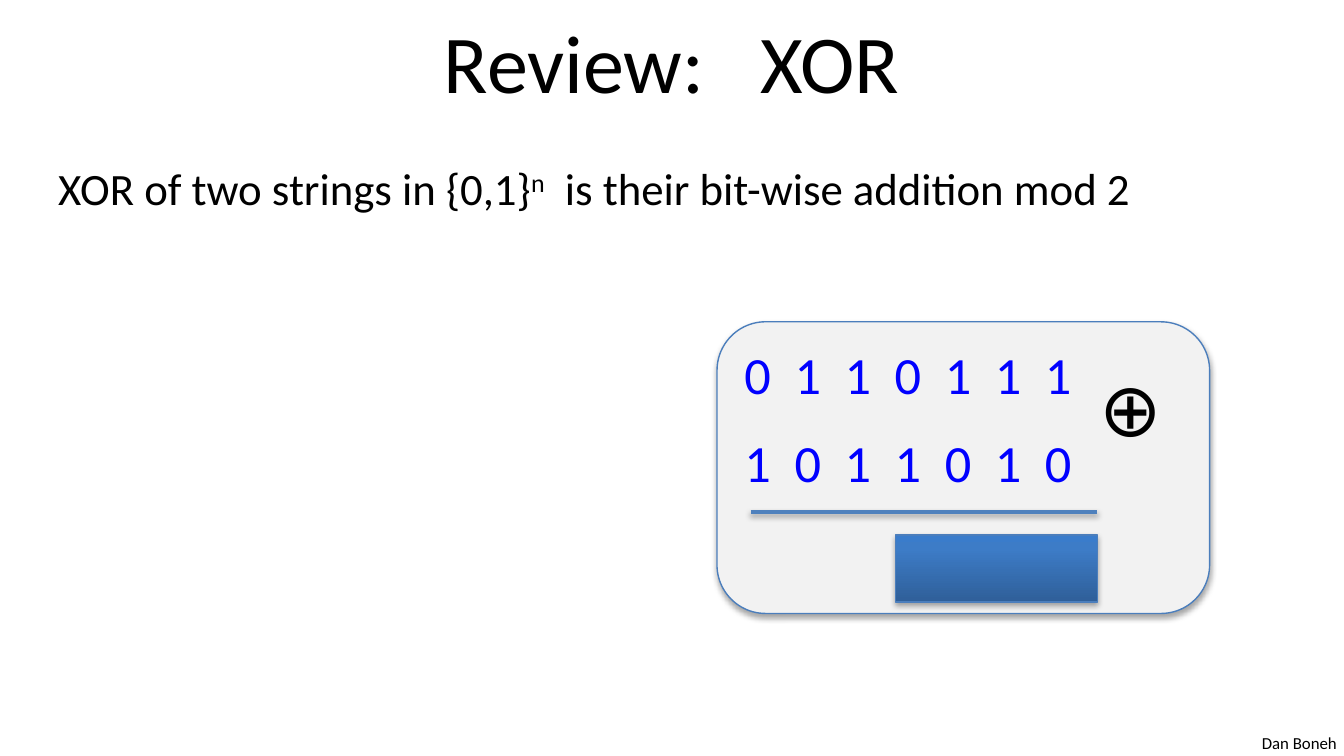
from copy import deepcopy
from dataclasses import dataclass

from lxml import etree
from pptx import Presentation
from pptx import util as u
from pptx.dml.color import RGBColor
from pptx.enum import shapes, text
from pptx.oxml.ns import qn

PX = u.Inches(1) // 200
FONT = "Calibri"
COLORS = {
    "text": "000000",
    "bits": "0000FF",
    "card": "F2F2F2",
    "outline": "4B7EBC",
    "rule": "4F81BD",
    "shadow": "000000",
}
COVER_STOPS = [(0, "2F5F99"), (0.8, "3D7CC7"), (1, "3A7CCB")]


@dataclass
class Box:
    left: int
    top: int
    width: int
    height: int

    def emu(self) -> list[int]:
        return [value * PX for value in (self.left, self.top, self.width, self.height)]


@dataclass
class Label:
    box: Box
    words: str
    size: int
    wrap: bool = True
    align: text.PP_ALIGN = text.PP_ALIGN.LEFT
    anchor: text.MSO_ANCHOR = text.MSO_ANCHOR.TOP


@dataclass
class Shadow:
    opacity: int
    blur: float
    distance: float


BOX_SHADOW = Shadow(35, 3.1, 1.8)
RULE_SHADOW = Shadow(38, 3.1, 1.6)

TITLE = Label(Box(100, -4, 1800, 188), "Review:   XOR", 44,
              align=text.PP_ALIGN.CENTER, anchor=text.MSO_ANCHOR.MIDDLE)
STATEMENT = Label(Box(67, 230, 1900, 895), "XOR of two strings in {0,1}", 24)
AUTHOR = Label(Box(1858, 1081, 152, 50), "Dan Boneh", 9, wrap=False)
OPERATOR = Label(Box(1616, 529, 96, 154), "⊕", 40, wrap=False)
CARD = Box(1067, 479, 733, 434)
COVER = Box(1333, 796, 300, 100)
RULE_LEFT, RULE_RIGHT, RULE_TOP = 1117, 1633, 762
BIT_STRINGS = ["0110111", "1011010"]


def rgb(name: str) -> RGBColor:
    return RGBColor.from_string(COLORS[name])


def format_runs(paragraph, size: int, color: str) -> None:
    for run in paragraph.runs:
        run.font.name = FONT
        run.font.size = u.Pt(size)
        run.font.color.rgb = rgb(color)


def add_label(parent, label: Label):
    """Draw a text box and return its first paragraph."""
    frame = parent.add_textbox(*label.box.emu()).text_frame
    frame.word_wrap = label.wrap
    frame.vertical_anchor = label.anchor
    frame.text = label.words
    paragraph = frame.paragraphs[0]
    paragraph.alignment = label.align
    format_runs(paragraph, label.size, "text")
    return paragraph


def add_shadow(shape, shadow: Shadow) -> None:
    """Give a shape or connector a soft shadow straight below it."""
    effects = etree.SubElement(shape.element.spPr, qn("a:effectLst"))
    outer = etree.SubElement(
        effects, qn("a:outerShdw"), blurRad=str(u.Pt(shadow.blur)),
        dist=str(u.Pt(shadow.distance)), dir=str(90 * 60000), rotWithShape="0")
    color = etree.SubElement(outer, qn("a:srgbClr"), val=COLORS["shadow"])
    etree.SubElement(color, qn("a:alpha"), val=str(shadow.opacity * 1000))


def add_box(parent, kind: shapes.MSO_SHAPE, box: Box):
    shape = parent.add_shape(kind, *box.emu())
    shape.line.color.rgb = rgb("outline")
    shape.line.width = u.Pt(0.75)
    return shape


def add_card(parent) -> None:
    card = add_box(parent, shapes.MSO_SHAPE.ROUNDED_RECTANGLE, CARD)
    card.fill.solid()
    card.fill.fore_color.rgb = rgb("card")
    add_shadow(card, BOX_SHADOW)
    frame = card.text_frame
    frame.vertical_anchor = text.MSO_ANCHOR.TOP
    frame.text = "\n".join("  ".join(bits) for bits in BIT_STRINGS)
    for paragraph in frame.paragraphs:
        paragraph.alignment = text.PP_ALIGN.LEFT
        format_runs(paragraph, 28, "bits")
    frame.paragraphs[1].line_spacing = 1.4


def add_sum_rule(parent) -> None:
    rule = parent.add_connector(shapes.MSO_CONNECTOR.STRAIGHT,
                                RULE_LEFT * PX, RULE_TOP * PX,
                                RULE_RIGHT * PX, RULE_TOP * PX)
    rule.line.color.rgb = rgb("rule")
    rule.line.width = u.Pt(2)
    add_shadow(rule, RULE_SHADOW)


def add_cover(parent) -> None:
    cover = add_box(parent, shapes.MSO_SHAPE.RECTANGLE, COVER)
    cover.fill.gradient()
    cover.fill.gradient_angle = 90
    stop_list = cover.element.spPr.find(".//" + qn("a:gsLst"))
    stop_list.append(deepcopy(stop_list[-1]))
    for stop, (position, color) in zip(cover.fill.gradient_stops, COVER_STOPS):
        stop.position = position
        stop.color.rgb = RGBColor.from_string(color)
    add_shadow(cover, BOX_SHADOW)


def add_statement(parent) -> None:
    paragraph = add_label(parent, STATEMENT)
    exponent = paragraph.add_run()
    exponent.text = "n"
    exponent.font._element.set("baseline", "30000")
    paragraph.add_run().text = "  is their bit-wise addition mod 2"
    format_runs(paragraph, STATEMENT.size, "text")


def main() -> None:
    presentation = Presentation()
    presentation.slide_width = 2000 * PX
    presentation.slide_height = 1125 * PX
    slide = presentation.slides.add_slide(presentation.slide_layouts[6])
    add_label(slide.shapes, AUTHOR)
    add_label(slide.shapes, TITLE)
    add_statement(slide.shapes)
    example = slide.shapes.add_group_shape().shapes
    add_card(example)
    add_sum_rule(example)
    add_label(example, OPERATOR)
    add_cover(slide.shapes)
    presentation.save("out.pptx")


if __name__ == "__main__":
    main()
